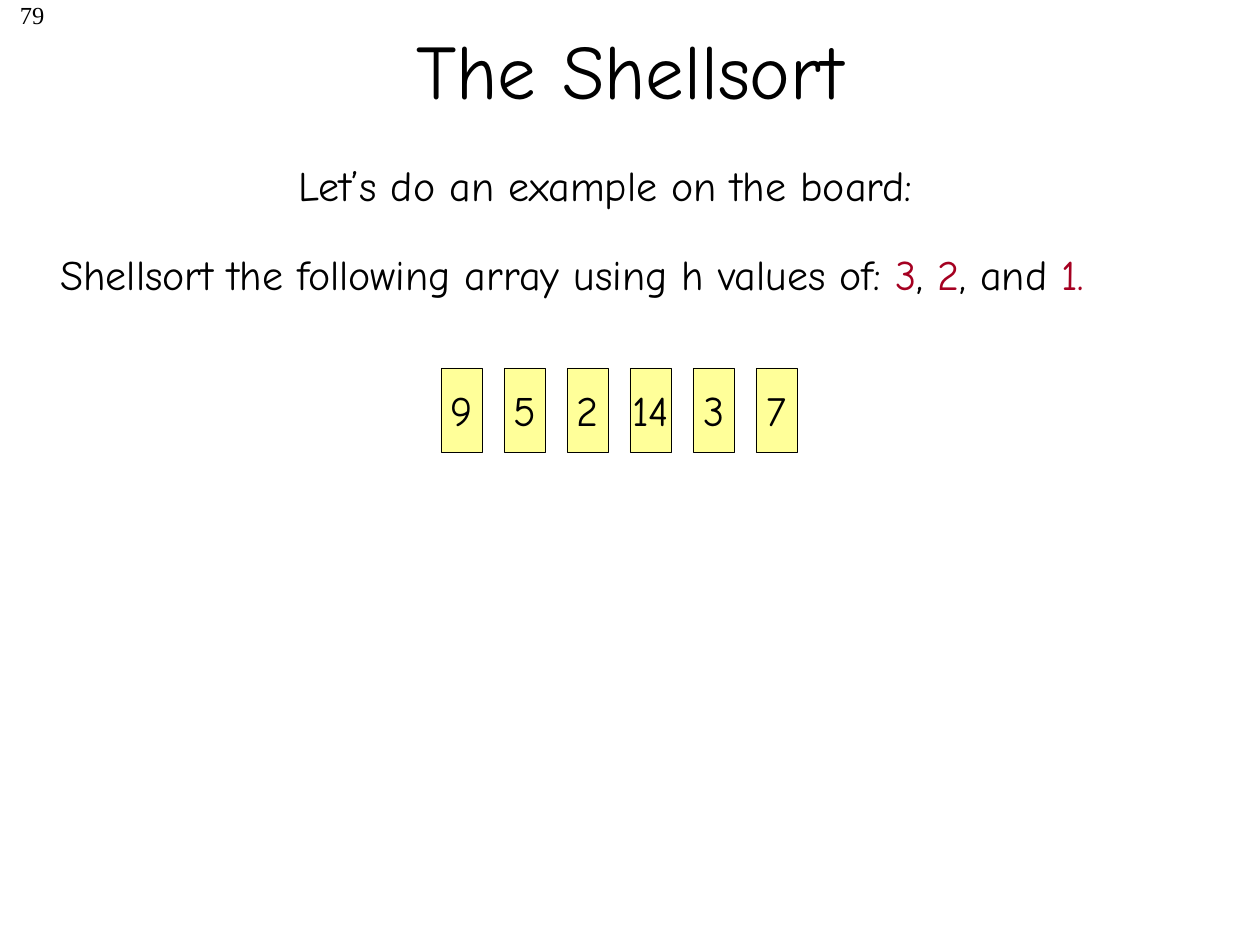
from dataclasses import dataclass

from pptx import Presentation
from pptx import util as u
from pptx.dml.color import RGBColor
from pptx.enum import shapes, text


@dataclass(frozen=True)
class Theme:
    font: str = "Comic Neue"
    serif: str = "Times New Roman"
    ink: str = "000000"
    red: str = "A50021"
    cell: str = "FFFF99"
    title: int = 44
    body: int = 24
    small: int = 14


LOOK = Theme()
ALIGN = text.PP_ALIGN


def style(run, size=LOOK.body, face=LOOK.font, color=LOOK.ink):
    run.font.size = u.Pt(size)
    run.font.name = face
    run.font.color.rgb = RGBColor.from_string(color)


def add_text(slide, box, words, size=LOOK.body, face=LOOK.font,
             align=ALIGN.LEFT, anchor=text.MSO_ANCHOR.TOP, wrap=True):
    """Add a text box; words is a list of (text, color) pairs."""
    frame = slide.shapes.add_textbox(*map(u.Inches, box)).text_frame
    frame.word_wrap = wrap
    frame.vertical_anchor = anchor
    para = frame.paragraphs[0]
    para.alignment = align
    for part, color in words:
        run = para.add_run()
        run.text = part
        style(run, size, face, color)
    return frame


def add_cell(slide, left, value):
    box = slide.shapes.add_shape(
        shapes.MSO_SHAPE.RECTANGLE,
        u.Inches(left), u.Inches(2.92), u.Inches(0.33), u.Inches(0.67))
    box.shadow.inherit = False
    box.fill.solid()
    box.fill.fore_color.rgb = RGBColor.from_string(LOOK.cell)
    box.line.color.rgb = RGBColor.from_string(LOOK.ink)
    box.line.width = u.Pt(0.25)
    frame = box.text_frame
    frame.word_wrap = False
    frame.vertical_anchor = text.MSO_ANCHOR.MIDDLE
    frame.text = str(value)
    para = frame.paragraphs[0]
    para.alignment = ALIGN.CENTER
    style(para.runs[0])


def main():
    deck = Presentation()
    deck.slide_width, deck.slide_height = u.Inches(10), u.Inches(7.5)
    slide = deck.slides.add_slide(deck.slide_layouts[6])

    # Page number and title
    page = add_text(slide, (0, 0, 0.45, 0.4), [("79", LOOK.ink)],
                    LOOK.small, LOOK.serif, ALIGN.RIGHT)
    page.margin_top = 0
    add_text(slide, (0.75, -0.08, 8.5, 1.25), [("The Shellsort", LOOK.ink)],
             LOOK.title, align=ALIGN.CENTER, anchor=text.MSO_ANCHOR.MIDDLE)

    # Task
    add_text(slide, (2.27, 1.22, 5.4, 0.5),
             [("Let’s do an example on the board:", LOOK.ink)], wrap=False)
    add_text(slide, (0.38, 1.92, 9.46, 0.5), [
        ("Shellsort the following array using h values of: ", LOOK.ink),
        ("3", LOOK.red), (", ", LOOK.ink),
        ("2", LOOK.red), (", and ", LOOK.ink),
        ("1.", LOOK.red)])

    # Array to sort
    for i, value in enumerate((9, 5, 2, 14, 3, 7)):
        add_cell(slide, 3.5 + 0.5 * i, value)

    deck.save("out.pptx")


if __name__ == "__main__":
    main()
